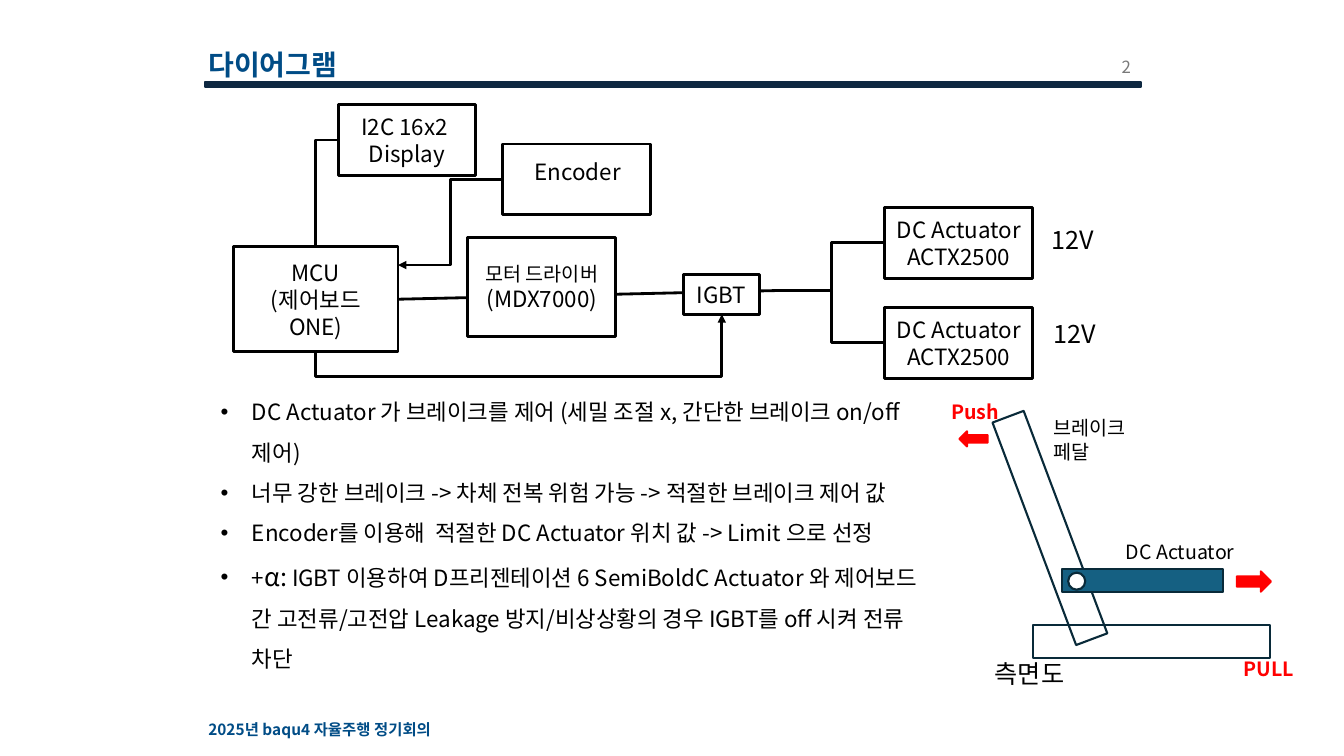
from pptx import Presentation
from pptx import util as u
from pptx.dml.color import RGBColor
from pptx.enum import shapes, text
from pptx.oxml.ns import qn
from lxml import etree

BLACK = RGBColor(0, 0, 0)
WHITE = RGBColor(255, 255, 255)
RED = RGBColor(255, 0, 0)
GRAY = RGBColor(0x79, 0x79, 0x79)
NAVY = RGBColor(0x0E, 0x28, 0x41)
BLUE = RGBColor(0, 0x4C, 0x86)
TEAL = RGBColor(0x15, 0x60, 0x82)
DARK = RGBColor(0x09, 0x2A, 0x39)
FONT = "Noto Sans CJK KR"
KIND = shapes.MSO_SHAPE
LEFT, MID, RIGHT = text.PP_ALIGN.LEFT, text.PP_ALIGN.CENTER, text.PP_ALIGN.RIGHT

# Content: places are left, top, width, height in cm; a run is (words, size)
BOXES = [
    ((5.89, 6.22, 4.14, 2.64), [("MCU\n(제어보드 ONE)", 16)]),
    ((22.3, 7.75, 3.73, 1.78), [("DC Actuator\nACTX2500", 16)]),
    ((22.3, 5.23, 3.73, 1.78), [("DC Actuator\nACTX2500", 16)]),
    ((12.67, 3.63, 3.73, 1.78), []),
    ((8.53, 2.64, 3.45, 1.78), [("I2C 16x2 \nDisplay", 16)]),
]
FRONT = [
    ((11.79, 5.99, 3.73, 2.49), [("모터 드라이버\n", 14), ("(MDX7000)", 16)]),
    ((17.22, 6.91, 1.93, 1.02), [("IGBT", 16)]),
]
# from, to, preset, turned, adjust, arrow end
LINKS = [
    ((10.03, 7.54), (19.63, 7.32), "line", False, None, None),
    ((7.96, 8.86), (18.19, 7.92), "bentConnector3", True, -66700, "tailEnd"),
    ((19.63, 7.32), (22.3, 6.12), "bentConnector3", False, 50000, None),
    ((19.63, 7.32), (22.3, 8.64), "bentConnector3", False, 50000, None),
    ((10.03, 6.68), (12.67, 4.52), "bentConnector3", False, 50000, "headEnd"),
    ((7.96, 6.22), (8.53, 3.53), "bentConnector2", True, None, None),
]
LABELS = [
    ((26.26, 5.54, 1.96, 1.02), "12V", 18, BLACK),
    ((26.31, 7.9, 1.96, 1.02), "12V", 18, BLACK),
    ((26.29, 10.36, 2.79, 0.86), "브레이크 페달", 14, BLACK),
    ((28.12, 13.49, 3.28, 0.86), "DC Actuator", 14, BLACK),
    ((23.72, 9.96, 1.93, 0.86), "Push", 14, RED),
    ((31.09, 16.43, 1.93, 0.86), "PULL", 14, RED),
    ((24.82, 16.46, 3.28, 1.02), "측면도", 18, BLACK),
    ((13.23, 3.86, 3.99, 0.94), "Encoder", 16, BLACK),
]
# kind, place, fill, line, turn
PARTS = [
    (KIND.RECTANGLE, (26.04, 10.31, 0.84, 5.99), None, DARK, 339.4),
    (KIND.RIGHT_ARROW, (31.17, 14.4, 0.86, 0.51), RED, RED, 0),
    (KIND.LEFT_ARROW, (24.18, 10.87, 0.71, 0.38), RED, RED, 0),
    (KIND.RECTANGLE, (26.03, 15.75, 5.97, 0.84), None, DARK, 0),
    (KIND.RECTANGLE, (26.77, 14.35, 4.06, 0.58), TEAL, DARK, 0),
    (KIND.OVAL, (26.92, 14.43, 0.43, 0.43), WHITE, DARK, 0),
]
POINTS = [
    [("DC Actuator 가 브레이크를 제어 (세밀 조절 x, 간단한 브레이크 on/off 제어)", 16)],
    [("너무 강한 브레이크 -> 차체 전복 위험 가능 -> 적절한 브레이크 제어 값", 16)],
    [("Encoder를 이용해  적절한 DC Actuator 위치 값 -> Limit 으로 선정", 16)],
    [("+", 16), ("α:", 18),
     (" IGBT 이용하여 D프리젠테이션 6 SemiBoldC Actuator 와 제어보드 간 고전류/고전압 "
      "Leakage 방지/비상상황의 경우 IGBT를 off 시켜 전류 차단", 16)],
]

deck = Presentation()
deck.slide_width, deck.slide_height = u.Cm(33.87), u.Cm(19.05)
slide = deck.slides.add_slide(deck.slide_layouts[6])


def cms(vals):
    return [u.Cm(v) for v in vals]


def put(par, runs, color, bold=False, name=FONT):
    for words, size in runs:
        for i, row in enumerate(words.split("\n")):
            if i:
                par.add_line_break()
            if not row:
                continue
            run = par.add_run()
            run.text = row
            look = {"size": u.Pt(size), "bold": bold, "name": name}
            for key, val in look.items():
                setattr(run.font, key, val)
            run.font.color.rgb = color
            etree.SubElement(run.font._element, qn("a:ea"), typeface=FONT)


def shape(kind, place, fill, line, width=1.5, turn=0):
    item = slide.shapes.add_shape(kind, *cms(place))
    item.shadow.inherit = False
    item.rotation = turn
    if fill is None:
        item.fill.background()
    else:
        item.fill.solid()
        item.fill.fore_color.rgb = fill
    if line is None:
        item.line.fill.background()
    else:
        item.line.color.rgb = line
        item.line.width = u.Pt(width)
    return item


def block(place, fill, runs):
    item = shape(KIND.RECTANGLE, place, fill, BLACK, 2)
    item.text_frame.vertical_anchor = text.MSO_ANCHOR.MIDDLE
    par = item.text_frame.paragraphs[0]
    par.alignment = MID
    put(par, runs, BLACK)


def area(place):
    frame = slide.shapes.add_textbox(*cms(place)).text_frame
    frame.word_wrap = True
    return frame


def link(start, end, preset, turned, adjust, arrow):
    if turned:  # a quarter turn swaps the sides about the centre
        (x1, y1), (x2, y2) = start, end
        cx, cy = (x1 + x2) / 2, (y1 + y2) / 2
        dx, dy = abs(y2 - y1) / 2, abs(x2 - x1) / 2
        start, end = (cx + dx, cy + dy), (cx - dx, cy - dy)
    item = slide.shapes.add_connector(shapes.MSO_CONNECTOR.STRAIGHT, *cms(start + end))
    item.line.color.rgb = BLACK
    item.line.width = u.Pt(2)
    props = item._element.spPr
    if turned:
        props.find(qn("a:xfrm")).set("rot", "5400000")
    geom = props.find(qn("a:prstGeom"))
    geom.set("prst", preset)
    if adjust is not None:
        etree.SubElement(geom.find(qn("a:avLst")), qn("a:gd"),
                         name="adj1", fmla=f"val {adjust}")
    if arrow:
        etree.SubElement(props.find(qn("a:ln")), qn("a:" + arrow), type="triangle")
    etree.SubElement(props, qn("a:effectLst"))


# Header and footer
shape(KIND.RECTANGLE, (5.16, 2.06, 23.6, 0.13), NAVY, NAVY)
page = area((27.71, 1.17, 1.04, 1.02))
page.vertical_anchor = text.MSO_ANCHOR.MIDDLE
page.paragraphs[0].alignment = RIGHT
put(page.paragraphs[0], [("2", 12)], GRAY)
title = area((5, 0.66, 23.27, 1.4)).paragraphs[0]
title.line_spacing = 1.5
put(title, [("다이어그램", 20)], BLUE, True, "Arial")
foot = shape(KIND.RECTANGLE, (5, 18.16, 15.09, 0.46), WHITE, None).text_frame
foot.vertical_anchor = text.MSO_ANCHOR.MIDDLE
foot.paragraphs[0].alignment = LEFT
put(foot.paragraphs[0], [("2025년 baqu4 자율주행 정기회의", 11)], BLUE, True)

# Bullets
body = area((5.31, 9.58, 18.39, 8.46))
for i, runs in enumerate(POINTS):
    par = body.add_paragraph() if i else body.paragraphs[0]
    props = par._p.get_or_add_pPr()
    props.set("marL", str(u.Cm(0.79)))
    props.set("indent", str(-u.Cm(0.79)))
    etree.SubElement(props, qn("a:buFont"), typeface="Arial")
    etree.SubElement(props, qn("a:buChar"), char="•")
    par.line_spacing = 1.5
    put(par, runs, BLACK)

# Block diagram
for place, runs in BOXES:
    block(place, None, runs)
for row in LINKS:
    link(*row)
for place, runs in FRONT:
    block(place, WHITE, runs)

# Side view and labels
for kind, place, fill, line, turn in PARTS:
    shape(kind, place, fill, line, turn=turn)
for place, words, size, color in LABELS:
    put(area(place).paragraphs[0], [(words, size)], color, color == RED)

deck.save("out.pptx")
